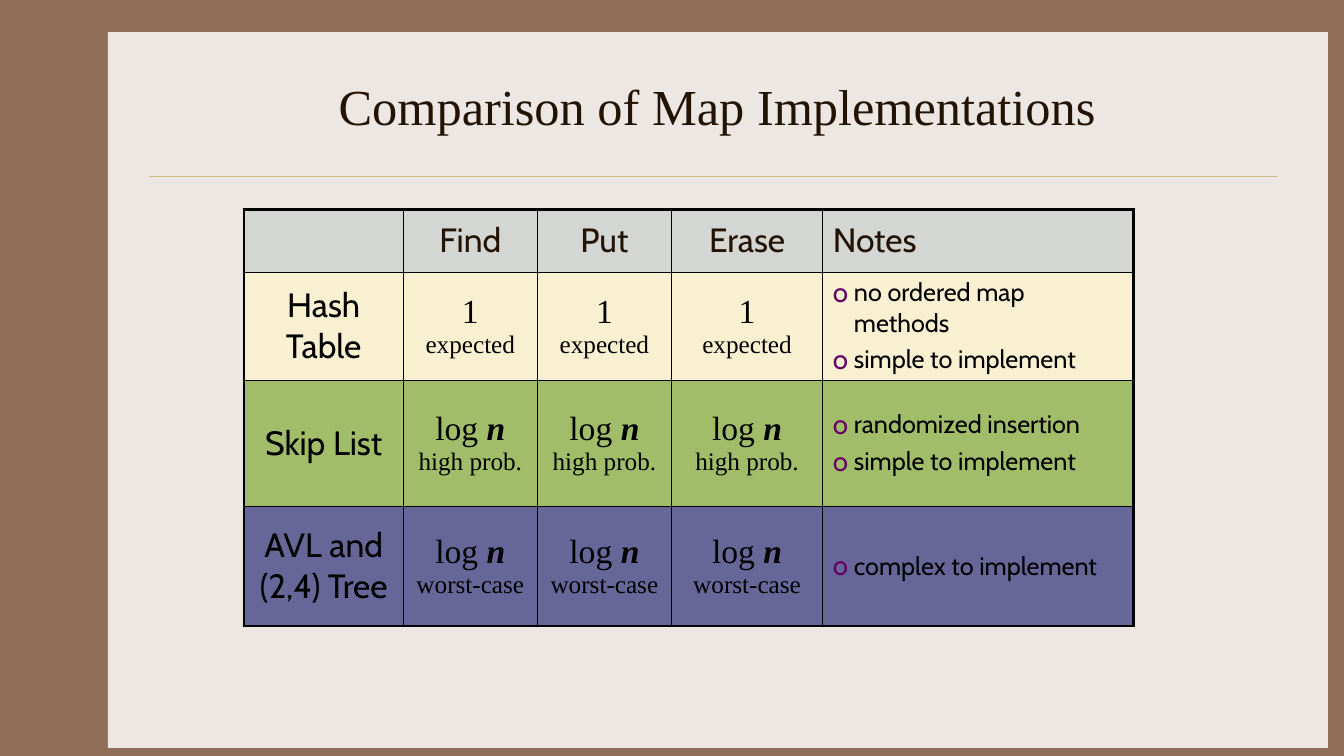
"""Build the slide comparing map implementations in a bordered table."""
import lxml.etree
import pptx
import pptx.dml.color
import pptx.enum.shapes
import pptx.enum.text
import pptx.oxml.ns
import pptx.util

Inches = pptx.util.Inches
Pt = pptx.util.Pt
ALIGN = pptx.enum.text.PP_ALIGN
MIDDLE = pptx.enum.text.MSO_ANCHOR.MIDDLE
SERIF = "Times New Roman"
SANS = "Cabin"
BROWN = "221304"
BLACK = "000000"


def color(hex_string):
    return pptx.dml.color.RGBColor.from_string(hex_string)


def add_element(parent, tag, **attributes):
    return lxml.etree.SubElement(parent, pptx.oxml.ns.qn(tag), **attributes)


presentation = pptx.Presentation()
presentation.slide_width = Inches(13.33)
presentation.slide_height = Inches(7.5)
slide = presentation.slides.add_slide(presentation.slide_layouts[5])
slide.background.fill.solid()
slide.background.fill.fore_color.rgb = color("906D58")

panel = slide.shapes.add_shape(
    pptx.enum.shapes.MSO_SHAPE.RECTANGLE,
    Inches(1.07), Inches(0.32), Inches(12.1), Inches(7.1))
panel.shadow.inherit = False
panel.fill.solid()
panel.fill.fore_color.rgb = color("EDE7E3")
panel.line.fill.background()

rule = slide.shapes.add_connector(
    pptx.enum.shapes.MSO_CONNECTOR.STRAIGHT,
    Inches(1.48), Inches(1.75), Inches(12.67), Inches(1.75))
rule.line.color.rgb = color("CBBD83")
rule.line.width = Pt(0.25)
add_element(rule._element.spPr, "a:effectLst")

title = slide.shapes.title
slide.shapes._spTree.append(title._element)
title.left, title.top = Inches(1.56), Inches(0.42)
title.width, title.height = Inches(11.11), Inches(1.25)
title.text_frame.text = "Comparison of Map Implementations"
title.text_frame.vertical_anchor = MIDDLE
paragraph = title.text_frame.paragraphs[0]
paragraph.alignment = ALIGN.CENTER
paragraph.font.name = SERIF
paragraph.font.size = Pt(36)
paragraph.font.color.rgb = color(BROWN)

headings = ["", "Find", "Put", "Erase", "Notes"]
implementations = [
    ("Hash Table", "1", "expected", "F8F0D0",
     ["no ordered map\vmethods", "simple to implement"]),
    ("Skip List", "log n", "high prob.", "A1BD69",
     ["randomized insertion", "simple to implement"]),
    ("AVL and (2,4) Tree", "log n", "worst-case", "666699",
     ["complex to implement"]),
]
column_widths = [1.58, 1.33, 1.33, 1.5, 3.08]
row_heights = [0.62, 1.07, 1.25, 1.19]
last_column = len(column_widths) - 1
last_row = len(row_heights) - 1

table = slide.shapes.add_table(
    len(row_heights), len(column_widths), Inches(2.42), Inches(2.08),
    Inches(sum(column_widths)), Inches(sum(row_heights))).table
table.first_row = False
table.horz_banding = False
for column, width in zip(table.columns, column_widths):
    column.width = Inches(width)
for row, height in zip(table.rows, row_heights):
    row.height = Inches(height)

for column_index, heading in enumerate(headings):
    paragraph = table.cell(0, column_index).text_frame.paragraphs[0]
    paragraph.text = heading
    paragraph.alignment = ALIGN.LEFT if column_index == last_column else ALIGN.CENTER
    paragraph.font.name = SANS
    paragraph.font.size = Pt(24)
    paragraph.font.color.rgb = color(BROWN)

for row_index, (name, cost, condition, fill, notes) in enumerate(implementations, 1):
    paragraph = table.cell(row_index, 0).text_frame.paragraphs[0]
    paragraph.text = name
    paragraph.alignment = ALIGN.CENTER
    paragraph.font.name = SANS
    paragraph.font.size = Pt(24)
    paragraph.font.color.rgb = color(BLACK)

    for column_index in range(1, last_column):
        paragraph = table.cell(row_index, column_index).text_frame.paragraphs[0]
        paragraph.alignment = ALIGN.CENTER
        paragraph.font.name = SERIF
        paragraph.font.color.rgb = color(BLACK)
        function, space, variable = cost.partition(" ")
        run = paragraph.add_run()
        run.text = function + space
        run.font.size = Pt(24)
        if variable:
            run = paragraph.add_run()
            run.text = variable
            run.font.size = Pt(24)
            run.font.bold = run.font.italic = True
        paragraph.add_line_break()
        run = paragraph.add_run()
        run.text = condition
        run.font.size = Pt(18)

    text_frame = table.cell(row_index, last_column).text_frame
    for note_index, note in enumerate(notes):
        paragraph = text_frame.add_paragraph() if note_index else text_frame.paragraphs[0]
        paragraph.text = note
        if note_index:
            paragraph.space_before = Pt(4)
        properties = paragraph._p.get_or_add_pPr()
        properties.set("marL", str(Inches(0.21)))
        properties.set("indent", str(Inches(-0.21)))
        bullet_color = add_element(properties, "a:buClr")
        add_element(bullet_color, "a:srgbClr", val="660066")
        add_element(properties, "a:buSzPct", val="110000")
        add_element(properties, "a:buFont", typeface=SANS)
        add_element(properties, "a:buChar", char="o")
        paragraph.font.name = SANS
        paragraph.font.size = Pt(18)
        paragraph.font.color.rgb = color(BLACK)

row_fills = ["D4D6D4"] + [implementation[3] for implementation in implementations]
for row_index, fill in enumerate(row_fills):
    for column_index in range(len(column_widths)):
        cell = table.cell(row_index, column_index)
        cell.vertical_anchor = MIDDLE
        cell.fill.solid()
        cell.fill.fore_color.rgb = color(fill)
        properties = cell._tc.get_or_add_tcPr()
        outer_edges = [
            ("a:lnL", column_index == 0), ("a:lnR", column_index == last_column),
            ("a:lnT", row_index == 0), ("a:lnB", row_index == last_row)]
        for position, (tag, is_outer) in enumerate(outer_edges):
            border = add_element(properties, tag, w=str(Pt(2.25 if is_outer else 1)))
            add_element(add_element(border, "a:solidFill"), "a:srgbClr", val=BLACK)
            properties.insert(position, border)

presentation.save("out.pptx")
